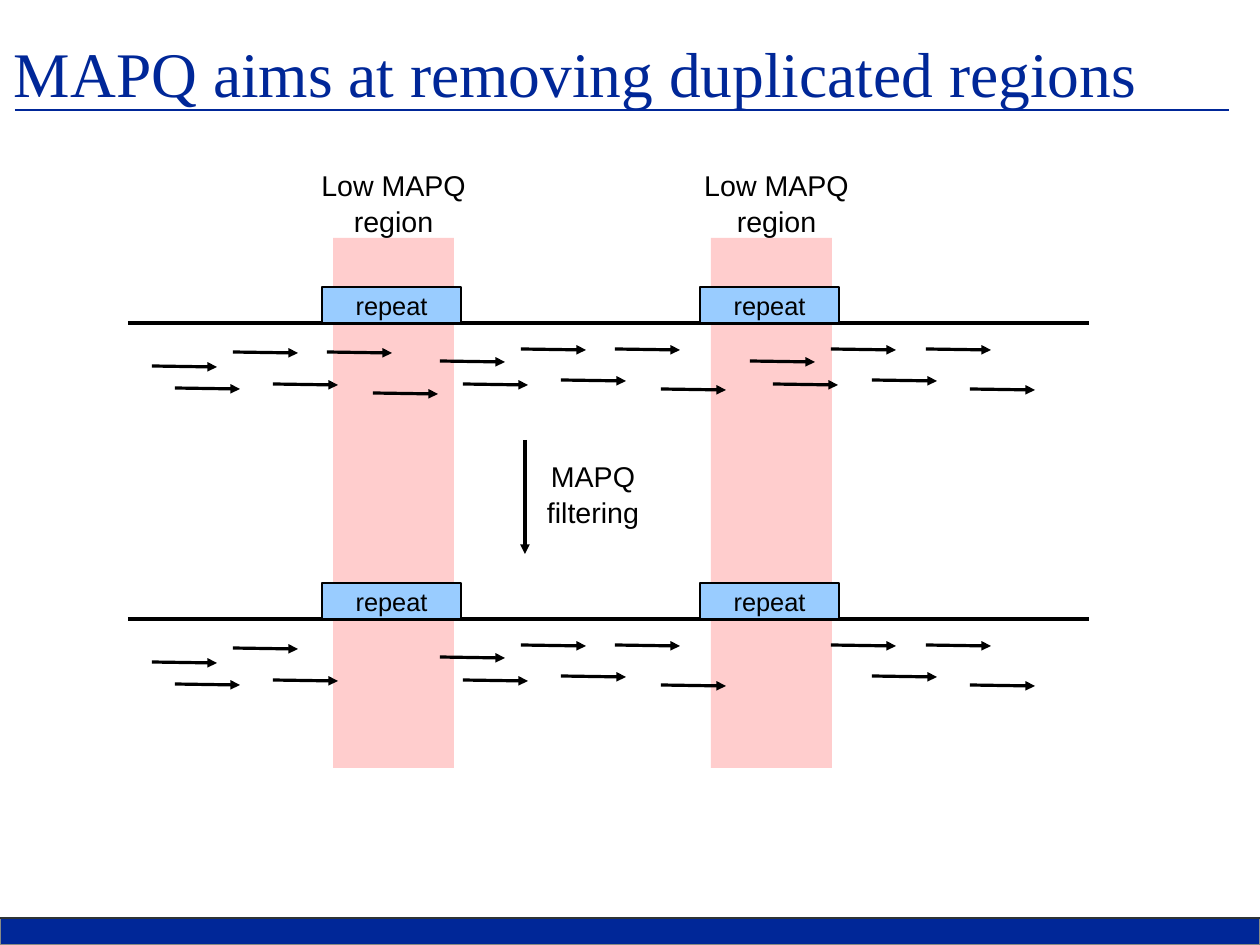
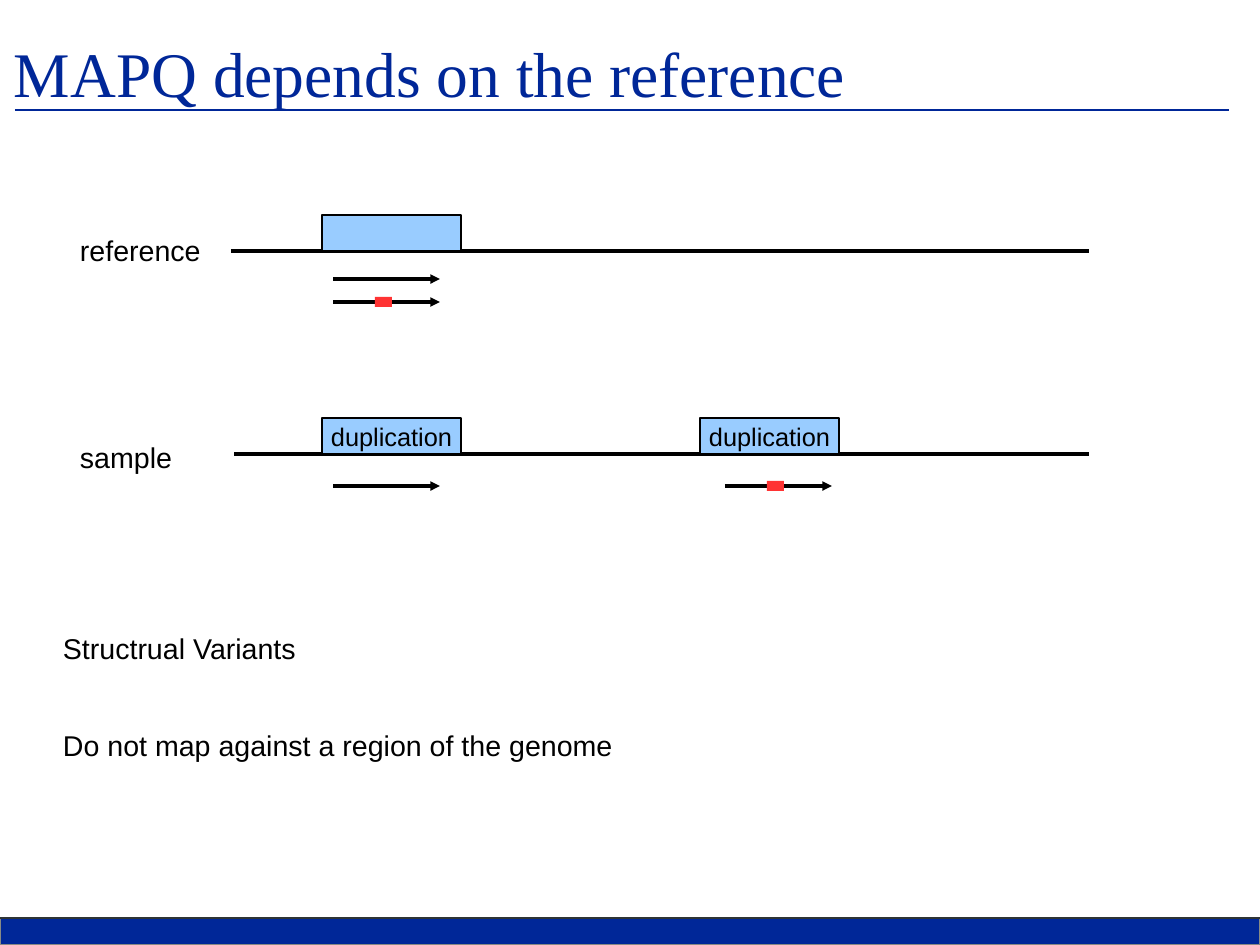
from dataclasses import dataclass

from lxml import etree
from pptx import Presentation
from pptx.dml.color import RGBColor
from pptx.enum.shapes import MSO_CONNECTOR, MSO_SHAPE
from pptx.enum.text import MSO_ANCHOR, MSO_AUTO_SIZE, PP_ALIGN
from pptx.oxml.ns import qn
from pptx.util import Emu, Pt

RECTANGLE = MSO_SHAPE.RECTANGLE
STRAIGHT = MSO_CONNECTOR.STRAIGHT
LEFT, CENTER = PP_ALIGN.LEFT, PP_ALIGN.CENTER
TOP, MIDDLE = MSO_ANCHOR.TOP, MSO_ANCHOR.MIDDLE
NO_AUTOSIZE = MSO_AUTO_SIZE.NONE
EMU_PER_PX = 8000
TITLE_ONLY = 5


@dataclass(frozen=True)
class Theme:
    navy: str = "002798"
    band_edge: str = "888A85"
    band_rule: str = "2E3436"
    black: str = "000000"
    low_region: str = "FFCDCD"
    segment: str = "99CCFF"
    variant: str = "FF3333"
    title_font: str = "Times New Roman"
    body_font: str = "Arial"
    title_size: int = 40
    body_size: int = 18
    segment_size: int = 16
    hairline: float = 0
    rule: float = 1.42
    line_spacing: float = 1.05


THEME = Theme()

SLIDE_WIDTH, SLIDE_HEIGHT = 1260, 945
BAND_TOP = 918
TITLE_BOX = (14, -7, 1197, 158)
TITLE_RULE = (15, 110, 1229, 110)

SEGMENT_LEFT, SEGMENT_WIDTH, SEGMENT_HEIGHT = 322, 139, 36
COLUMN_STEP = 378
GENOME_RIGHT = 1089

FILTER_TITLE = "MAPQ aims at removing duplicated regions"
LOW_REGION = (333, 238, 121, 530)
LOW_LABEL = ["Low MAPQ", "region"]
LOW_LABEL_BOXES = [(304, 166, 179, 70), (687, 166, 179, 70)]
FILTER_LABEL = ["MAPQ", "filtering"]
FILTER_LABEL_BOX = (536, 457, 114, 70)
FILTER_ARROW = (525, 440, 525, 554)
GENOME_LEFT = 128
BEFORE_BASELINE, AFTER_BASELINE = 323, 619
READ_LENGTH, READ_DROP = 65, 1
READS = [
    (152, 43), (175, 65), (233, 29), (273, 61), (440, 38), (463, 61),
    (521, 26), (561, 57), (615, 26), (661, 66), (831, 26), (872, 57),
    (926, 26), (970, 66),
]
FILTERED_READS = [(327, 29), (373, 70), (750, 38), (773, 61)]

REFERENCE_TITLE = "MAPQ depends on the reference"
LONG_READ_LENGTH = 107
MARK_OFFSET, MARK_WIDTH, MARK_HEIGHT = 42, 17, 10
GENOMES = [
    {"name": "reference", "label_top": 231, "left": 231, "baseline": 251,
     "segments": [""], "reads": [(333, 279, False), (333, 302, True)]},
    {"name": "sample", "label_top": 438, "left": 234, "baseline": 454,
     "segments": ["duplication", "duplication"],
     "reads": [(333, 486, False), (725, 486, True)]},
]
GENOME_LABEL_LEFT, GENOME_LABEL_WIDTH, GENOME_LABEL_HEIGHT = 80, 145, 36
NOTES = ["Structrual Variants", "Do not map against a region of the genome"]
NOTES_BOX = (63, 629, 1134, 216)
NOTES_GAP = 38.7


def px(*values):
    return [Emu(value * EMU_PER_PX) for value in values]


def write_text(shape, lines, size=THEME.body_size, font=THEME.body_font,
               color=THEME.black, align=LEFT, anchor=TOP, gap=0,
               spacing=THEME.line_spacing):
    frame = shape.text_frame
    frame.word_wrap = True
    frame.auto_size = NO_AUTOSIZE
    frame.vertical_anchor = anchor
    frame.margin_left = frame.margin_right = 0
    frame.margin_top = frame.margin_bottom = 0
    for index, line in enumerate(lines):
        paragraph = frame.add_paragraph() if index else frame.paragraphs[0]
        paragraph.alignment = align
        paragraph.line_spacing = spacing
        if index and gap:
            paragraph.space_before = Pt(gap)
        run = paragraph.add_run()
        run.text = line
        run.font.name = font
        run.font.size = Pt(size)
        run.font.color.rgb = RGBColor.from_string(color)


def add_label(slide, box, lines, **text_format):
    write_text(slide.shapes.add_textbox(*px(*box)), lines, **text_format)


def add_rectangle(slide, box, fill, outline=None):
    shape = slide.shapes.add_shape(RECTANGLE, *px(*box))
    shape.shadow.inherit = False
    shape.fill.solid()
    shape.fill.fore_color.rgb = RGBColor.from_string(fill)
    if outline:
        shape.line.color.rgb = RGBColor.from_string(outline)
        shape.line.width = Pt(THEME.hairline)
    else:
        shape.line.fill.background()
    return shape


def add_line(slide, points, color=THEME.black, width=THEME.hairline, arrow=False):
    connector = slide.shapes.add_connector(STRAIGHT, *px(*points))
    connector.line.color.rgb = RGBColor.from_string(color)
    connector.line.width = Pt(width)
    if arrow:
        outline = connector.line._get_or_add_ln()
        etree.SubElement(outline, qn("a:tailEnd"), type="triangle")
    etree.SubElement(connector.element.spPr, qn("a:effectLst"))
    return connector


def add_titled_slide(presentation, title):
    slide = presentation.slides.add_slide(presentation.slide_layouts[TITLE_ONLY])
    shape = slide.shapes.title
    shape.left, shape.top, shape.width, shape.height = px(*TITLE_BOX)
    write_text(shape, [title], size=THEME.title_size, font=THEME.title_font,
               color=THEME.navy, anchor=MIDDLE, spacing=1.0)
    return slide


def move_frame_to_layout(slide):
    frame = [
        add_rectangle(slide, (0, BAND_TOP, SLIDE_WIDTH, SLIDE_HEIGHT - BAND_TOP),
                      THEME.navy, THEME.band_edge),
        add_line(slide, (0, BAND_TOP, SLIDE_WIDTH, BAND_TOP), THEME.band_rule, THEME.rule),
        add_line(slide, TITLE_RULE, THEME.navy, THEME.rule),
    ]
    layout_tree = slide.slide_layout.shapes.element
    for shape_id, shape in enumerate(frame, start=100):
        shape.element.xpath("./*/p:cNvPr")[0].set("id", str(shape_id))
        layout_tree.append(shape.element)


def add_genome(slide, left, baseline, segments):
    add_line(slide, (left, baseline, GENOME_RIGHT, baseline))
    for column, text in enumerate(segments):
        box = (SEGMENT_LEFT + column * COLUMN_STEP, baseline - SEGMENT_HEIGHT,
               SEGMENT_WIDTH, SEGMENT_HEIGHT)
        segment = add_rectangle(slide, box, THEME.segment, THEME.black)
        if text:
            write_text(segment, [text], size=THEME.segment_size,
                       align=CENTER, anchor=MIDDLE)


def build_filter_slide(presentation):
    slide = add_titled_slide(presentation, FILTER_TITLE)
    move_frame_to_layout(slide)
    left, top, width, height = LOW_REGION
    for column, label_box in enumerate(LOW_LABEL_BOXES):
        region_box = (left + column * COLUMN_STEP, top, width, height)
        add_rectangle(slide, region_box, THEME.low_region)
        add_label(slide, label_box, LOW_LABEL, align=CENTER)
    for baseline, reads in ((BEFORE_BASELINE, READS + FILTERED_READS),
                            (AFTER_BASELINE, READS)):
        add_genome(slide, GENOME_LEFT, baseline, ["repeat", "repeat"])
        for x, depth in reads:
            y = baseline + depth
            add_line(slide, (x, y, x + READ_LENGTH, y + READ_DROP), arrow=True)
    add_line(slide, FILTER_ARROW, arrow=True)
    add_label(slide, FILTER_LABEL_BOX, FILTER_LABEL, align=CENTER)


def build_reference_slide(presentation):
    slide = add_titled_slide(presentation, REFERENCE_TITLE)
    for genome in GENOMES:
        add_genome(slide, genome["left"], genome["baseline"], genome["segments"])
        label_box = (GENOME_LABEL_LEFT, genome["label_top"],
                     GENOME_LABEL_WIDTH, GENOME_LABEL_HEIGHT)
        add_label(slide, label_box, [genome["name"]])
        for x, y, has_variant in genome["reads"]:
            add_line(slide, (x, y, x + LONG_READ_LENGTH, y), arrow=True)
            if has_variant:
                mark_box = (x + MARK_OFFSET, y - MARK_HEIGHT // 2, MARK_WIDTH, MARK_HEIGHT)
                add_rectangle(slide, mark_box, THEME.variant)
    add_label(slide, NOTES_BOX, NOTES, gap=NOTES_GAP)


def main():
    presentation = Presentation()
    presentation.slide_width, presentation.slide_height = px(SLIDE_WIDTH, SLIDE_HEIGHT)
    build_filter_slide(presentation)
    build_reference_slide(presentation)
    presentation.save("out.pptx")


if __name__ == "__main__":
    main()
